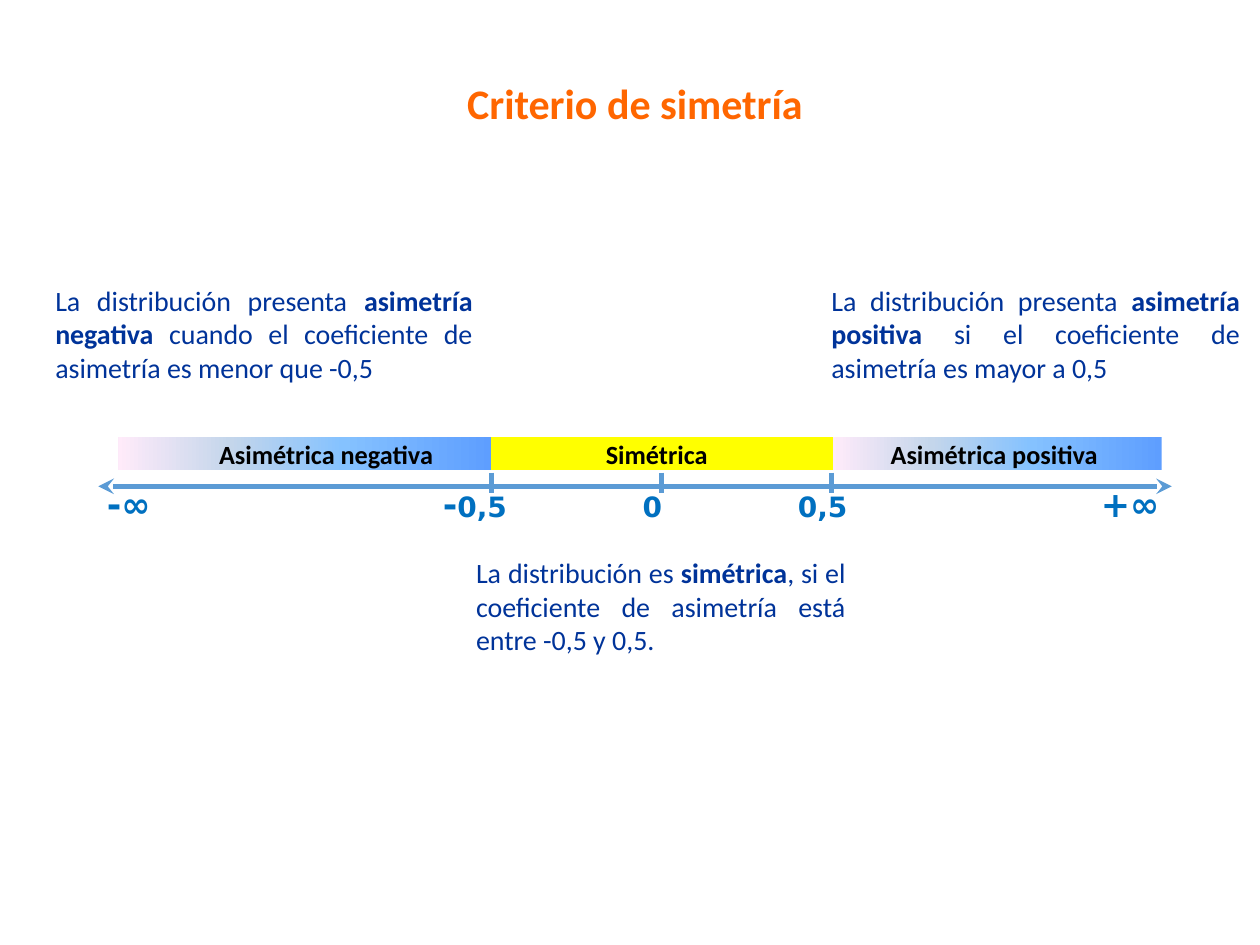
import pptx
import pptx.dml.color
import pptx.enum.shapes
import pptx.enum.text
import pptx.oxml
import pptx.oxml.ns
import pptx.util
from lxml import etree

Inches = pptx.util.Inches
Pt = pptx.util.Pt
ALIGN = pptx.enum.text.PP_ALIGN
ANCHOR = pptx.enum.text.MSO_ANCHOR

AXIS_Y = 3.86
BAR_TOP, BAR_HEIGHT = 3.47, 0.26
GRADIENT = [(0, "5E9EFF"), (40, "85C2FF"), (70, "C4D6EB"), (100, "FFEBFA")]


def color(hex_string):
    return pptx.dml.color.RGBColor.from_string(hex_string)


def add_child(parent, tag, **attributes):
    child = etree.SubElement(parent, pptx.oxml.ns.qn(tag))
    for name, value in attributes.items():
        child.set(name, str(value))
    return child


def write_text(paragraph, text, size=16, font="Calibri", fill="003399", bold=False):
    run = paragraph.add_run()
    run.text = text
    run.font.size = Pt(size)
    run.font.name = font
    run.font.bold = bold
    run.font.color.rgb = color(fill)


class SlideBuilder:
    line_color = "5B9BD5"
    line_width = 3

    def __init__(self, slide):
        self.slide = slide

    def title(self, text, left, top, width, height):
        shape = self.slide.shapes.title
        shape.left, shape.top = Inches(left), Inches(top)
        shape.width, shape.height = Inches(width), Inches(height)
        shape.text_frame.vertical_anchor = ANCHOR.MIDDLE
        paragraph = shape.text_frame.paragraphs[0]
        paragraph.alignment = ALIGN.CENTER
        paragraph.line_spacing = 0.9
        write_text(paragraph, text, size=24, fill="FF6600", bold=True)

    def text_box(self, left, top, width, height, align=ALIGN.LEFT):
        """Add an empty wrapping text box and return its paragraph."""
        shape = self.slide.shapes.add_textbox(
            Inches(left), Inches(top), Inches(width), Inches(height))
        shape.text_frame.word_wrap = True
        paragraph = shape.text_frame.paragraphs[0]
        paragraph.alignment = align
        return paragraph

    def explanation(self, before, term, after, left, top, width):
        paragraph = self.text_box(left, top, width, 1.25, ALIGN.JUSTIFY)
        write_text(paragraph, before)
        write_text(paragraph, term, bold=True)
        write_text(paragraph, after)

    def bar_label(self, text, left, width):
        paragraph = self.text_box(left, 3.43, width, 0.35)
        write_text(paragraph, text, size=15, fill="000000", bold=True)

    def bar(self, left, width, fill=None):
        """Add a section of the scale: plain if a fill is given, else gradient."""
        shape = self.slide.shapes.add_shape(
            pptx.enum.shapes.MSO_SHAPE.RECTANGLE,
            Inches(left), Inches(BAR_TOP), Inches(width), Inches(BAR_HEIGHT))
        shape.shadow.inherit = False
        shape.line.fill.background()
        if fill:
            shape.fill.solid()
            shape.fill.fore_color.rgb = color(fill)
            return
        shape.fill.gradient()
        shape.fill.gradient_angle = 180
        stops = shape.element.spPr.find(".//" + pptx.oxml.ns.qn("a:gsLst"))
        for stop in list(stops):
            stops.remove(stop)
        for position, stop_color in GRADIENT:
            stop = add_child(stops, "a:gs", pos=position * 1000)
            add_child(stop, "a:srgbClr", val=stop_color)

    def line(self, x1, y1, x2, y2, arrows=False):
        connector = self.slide.shapes.add_connector(
            pptx.enum.shapes.MSO_CONNECTOR.STRAIGHT,
            Inches(x1), Inches(y1), Inches(x2), Inches(y2))
        connector.line.color.rgb = color(self.line_color)
        connector.line.width = Pt(self.line_width)
        if arrows:
            outline = connector.line._get_or_add_ln()
            for tag in ("a:headEnd", "a:tailEnd"):
                add_child(outline, tag, type="stealth")
        add_child(connector.element.spPr, "a:effectLst")

    def axis_labels(self, left, top, width, tab_centers, runs):
        """Write the axis values in one line, centred on tab stops."""
        paragraph = self.text_box(left, top, width, 0.44)
        tabs = add_child(paragraph._p.get_or_add_pPr(), "a:tabLst")
        for center in tab_centers:
            add_child(tabs, "a:tab", pos=Inches(center - left - 0.1), algn="ctr")
        for text, size in runs:
            write_text(paragraph, text, size=size, font="DejaVu Sans",
                       fill="0070C0", bold=True)


def main():
    presentation = pptx.Presentation()
    presentation.slide_width, presentation.slide_height = Inches(10), Inches(7.5)
    builder = SlideBuilder(
        presentation.slides.add_slide(presentation.slide_layouts[5]))

    builder.title("Criterio de simetría", 1.83, 0.47, 6.42, 0.74)
    builder.axis_labels(
        0.75, 3.78, 8.75, (3.77, 5.18, 6.53, 8.97),
        [("-∞\t-", 20), ("0,5\t0\t0,5\t", 16), ("+∞", 20)])
    builder.line(0.78, AXIS_Y, 9.3, AXIS_Y, arrows=True)

    builder.bar(3.89, 2.72, fill="FFFF00")
    builder.bar(0.94, 2.96)
    builder.bar(6.61, 2.61)
    builder.bar_label("Simétrica", 4.71, 1.07)
    builder.bar_label("Asimétrica negativa", 1.64, 1.95)
    builder.bar_label("Asimétrica positiva", 6.97, 1.88)

    for tick_x in (3.9, 5.25, 6.6):
        builder.line(tick_x, 3.75, tick_x, 3.91)

    builder.explanation(
        "La distribución presenta ", "asimetría positiva",
        " si el coeficiente de asimetría es mayor a 0,5", 6.5, 2.2, 3.44)
    builder.explanation(
        "La distribución presenta ", "asimetría negativa",
        " cuando el coeficiente de asimetría es menor que -0,5", 0.34, 2.2, 3.51)
    builder.explanation(
        "La distribución es ", "simétrica",
        ", si el coeficiente de asimetría está entre -0,5 y 0,5.", 3.68, 4.36, 3.13)

    presentation.save("out.pptx")


if __name__ == "__main__":
    main()
